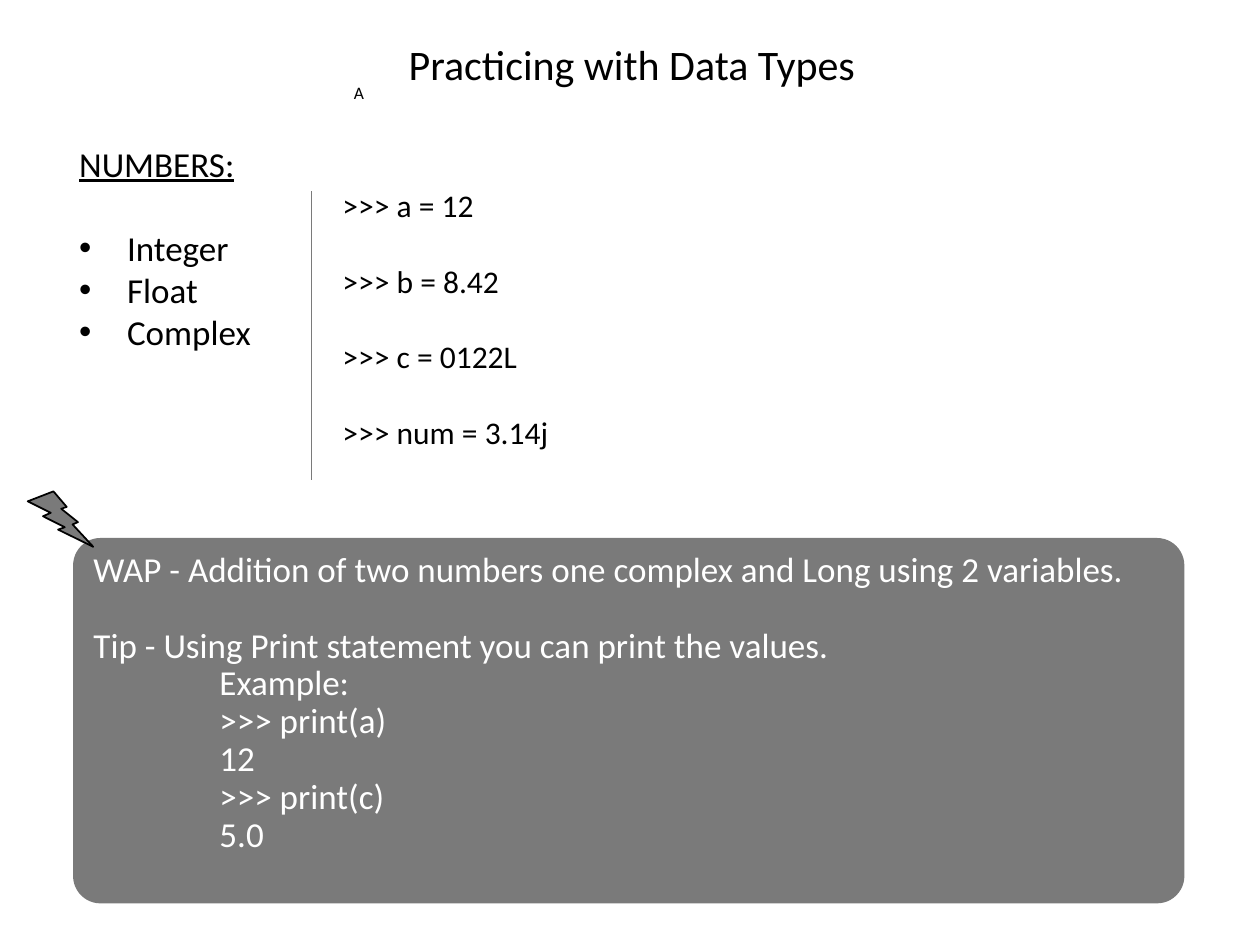
import pptx
import pptx.util
import pptx.dml.color
import pptx.enum.shapes
import pptx.enum.text
from lxml import etree

Inches, Pt = pptx.util.Inches, pptx.util.Pt
SHAPE = pptx.enum.shapes.MSO_SHAPE
ALIGN = pptx.enum.text.PP_ALIGN
BLACK, WHITE, GRAY = "000000", "FFFFFF", "7A7A7A"
NS = "{http://schemas.openxmlformats.org/drawingml/2006/main}"


def color(code):
    return pptx.dml.color.RGBColor.from_string(code)


def indent(para, left, hang=0, bullet=False):
    props = para._p.get_or_add_pPr()
    props.set("marL", str(Inches(left)))
    props.set("indent", str(-Inches(hang)))
    if bullet:
        etree.SubElement(props, NS + "buFont", typeface="Arial")
        etree.SubElement(props, NS + "buChar", char="•")


def write(frame, lines, size, tint=BLACK, gaps=None):
    """Fill a frame with lines; gaps maps a line index to its space before."""
    frame.word_wrap = True
    for i, line in enumerate(lines):
        para = frame.paragraphs[0] if i == 0 else frame.add_paragraph()
        para.text = line
        para.alignment = ALIGN.LEFT
        if gaps and i in gaps:
            para.space_before = Pt(gaps[i])
        font = para.font
        font.name, font.size = "Calibri", Pt(size)
        font.color.rgb = color(tint)
    return frame.paragraphs


def add_text(slide, box, lines, size, gaps=None):
    frame = slide.shapes.add_textbox(*map(Inches, box)).text_frame
    return write(frame, lines, size, gaps=gaps)


def add_block(slide, kind, box):
    shape = slide.shapes.add_shape(kind, *map(Inches, box))
    shape.shadow.inherit = False
    shape.fill.solid()
    shape.fill.fore_color.rgb = color(GRAY)
    return shape


def add_title(slide, x, y, w, h):
    add_text(slide, (x + 0.25, y + 0.34, 0.28, 0.27), ["A"], 10)
    title = add_text(slide, (x, y, w, h), ["Practicing with Data Types"], 24)
    title[0].alignment = ALIGN.CENTER


def add_types(slide, x, y, w, h):
    names = ["NUMBERS:", "Integer", "Float", "Complex"]
    head, *items = add_text(slide, (x, y, w, h), names, 20, {1: 24})
    head.font.underline = True
    for item in items:
        indent(item, 0.38, 0.38, bullet=True)


def add_code(slide, x, y, w, h):
    lines = [">>> a = 12", ">>> b = 8.42", ">>> c = 0122L", ">>> num = 3.14j"]
    gaps = dict.fromkeys(range(1, len(lines)), 21.5)
    add_text(slide, (x, y, w, h), lines, 18, gaps)
    edge = Inches(x - 0.15)
    rule = slide.shapes.add_connector(
        pptx.enum.shapes.MSO_CONNECTOR.STRAIGHT,
        edge, Inches(y + 0.09), edge, Inches(y + 2.38))
    rule.line.color.rgb = color(GRAY)
    rule.line.width = Pt(0.5)
    etree.SubElement(rule._element.spPr, NS + "effectLst")


def add_task(slide, x, y, w, h):
    panel = add_block(slide, SHAPE.ROUNDED_RECTANGLE, (x, y, w, h))
    panel.adjustments[0] = 0.075
    panel.line.fill.background()
    frame = panel.text_frame
    frame.vertical_anchor = pptx.enum.text.MSO_ANCHOR.TOP
    notes = ["WAP - Addition of two numbers one complex and Long using 2 variables.",
             "Tip - Using Print statement you can print the values."]
    sample = ["Example:", ">>> print(a)", "12", ">>> print(c)", "5.0"]
    paras = write(frame, notes + sample, 20, WHITE, {1: 21.6})
    for para in paras:
        para.line_spacing = 0.9
    for para in paras[len(notes):]:
        indent(para, 1)
    bolt = add_block(slide, SHAPE.LIGHTNING_BOLT, (x - 0.36, y - 0.37, 0.52, 0.44))
    bolt.line.color.rgb = color(BLACK)
    bolt.line.width = Pt(1)


def main():
    deck = pptx.Presentation()
    deck.slide_width, deck.slide_height = Inches(10), Inches(7.5)
    slide = deck.slides.add_slide(deck.slide_layouts[6])
    add_title(slide, 2.46, 0.26, 5.11, 0.5)
    add_types(slide, 0.53, 1.08, 2.69, 2.1)
    add_code(slide, 2.62, 1.43, 6.46, 2.5)
    add_task(slide, 0.58, 4.27, 8.82, 2.9)
    deck.save("out.pptx")


if __name__ == "__main__":
    main()
